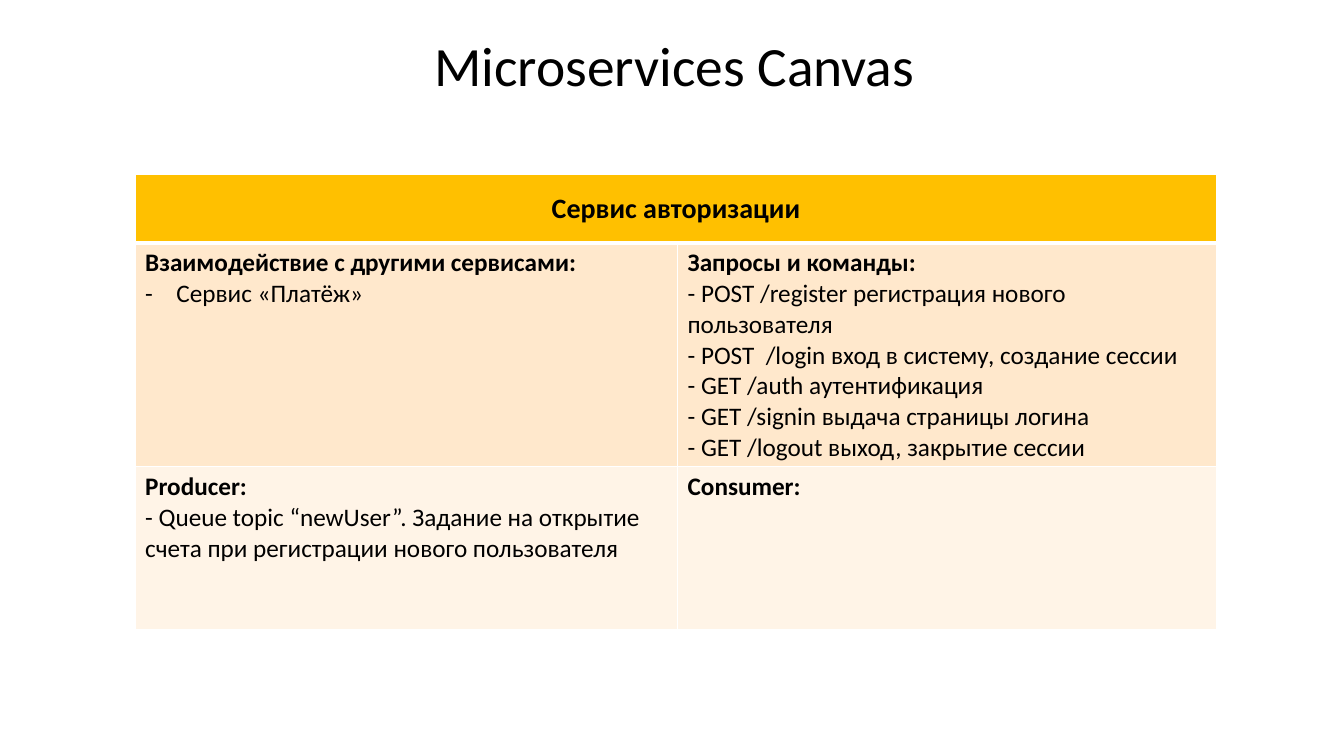
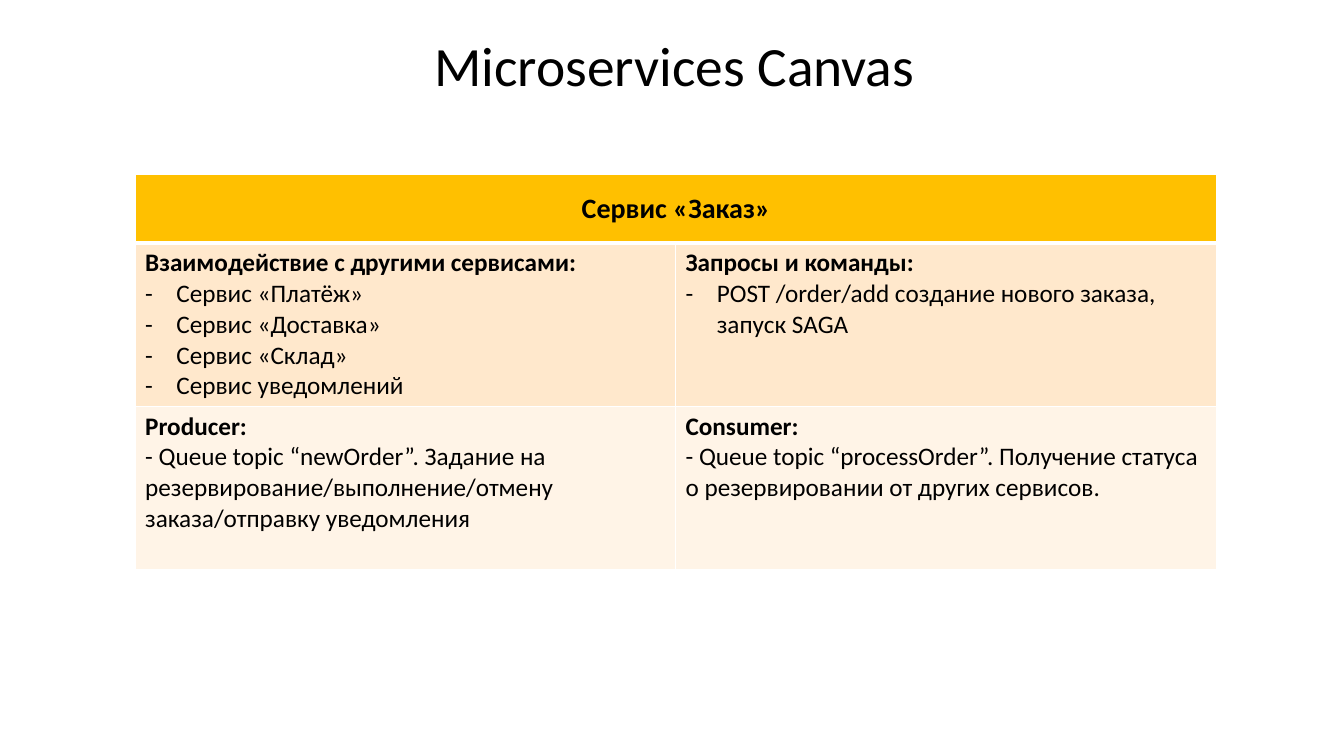
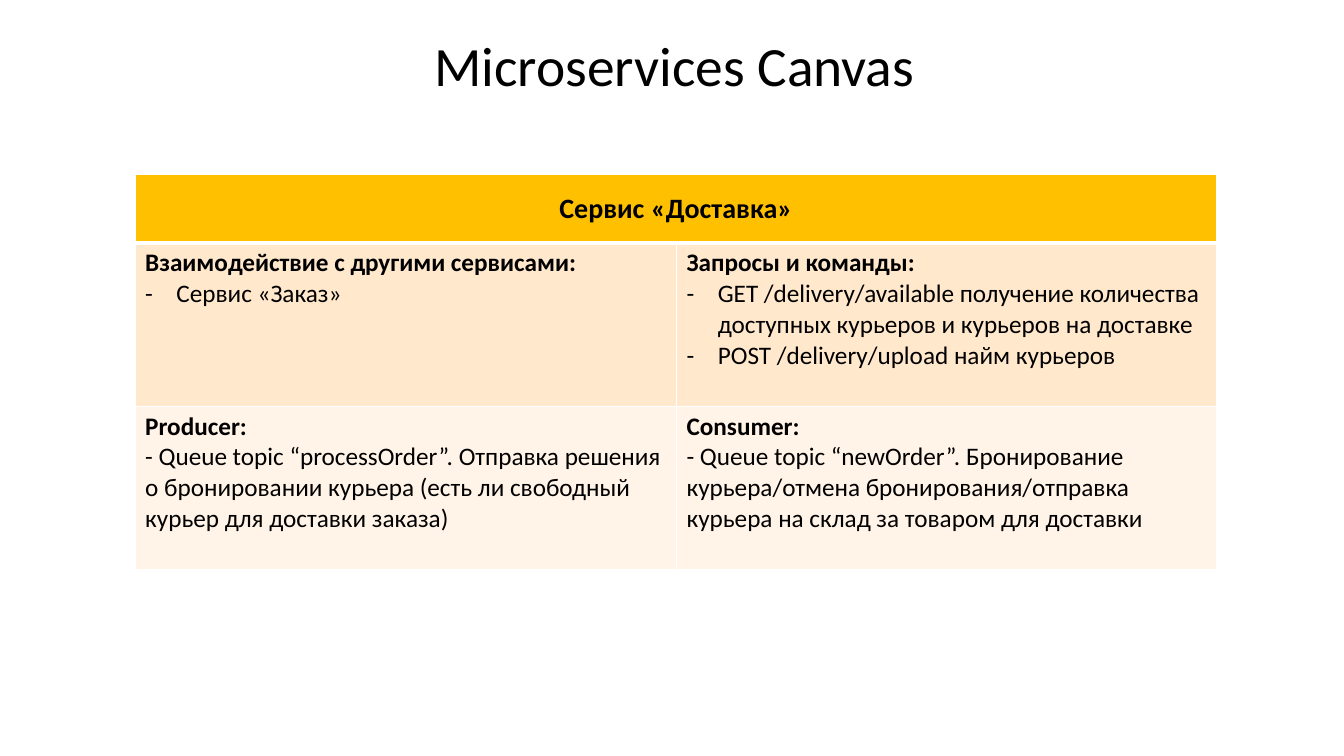
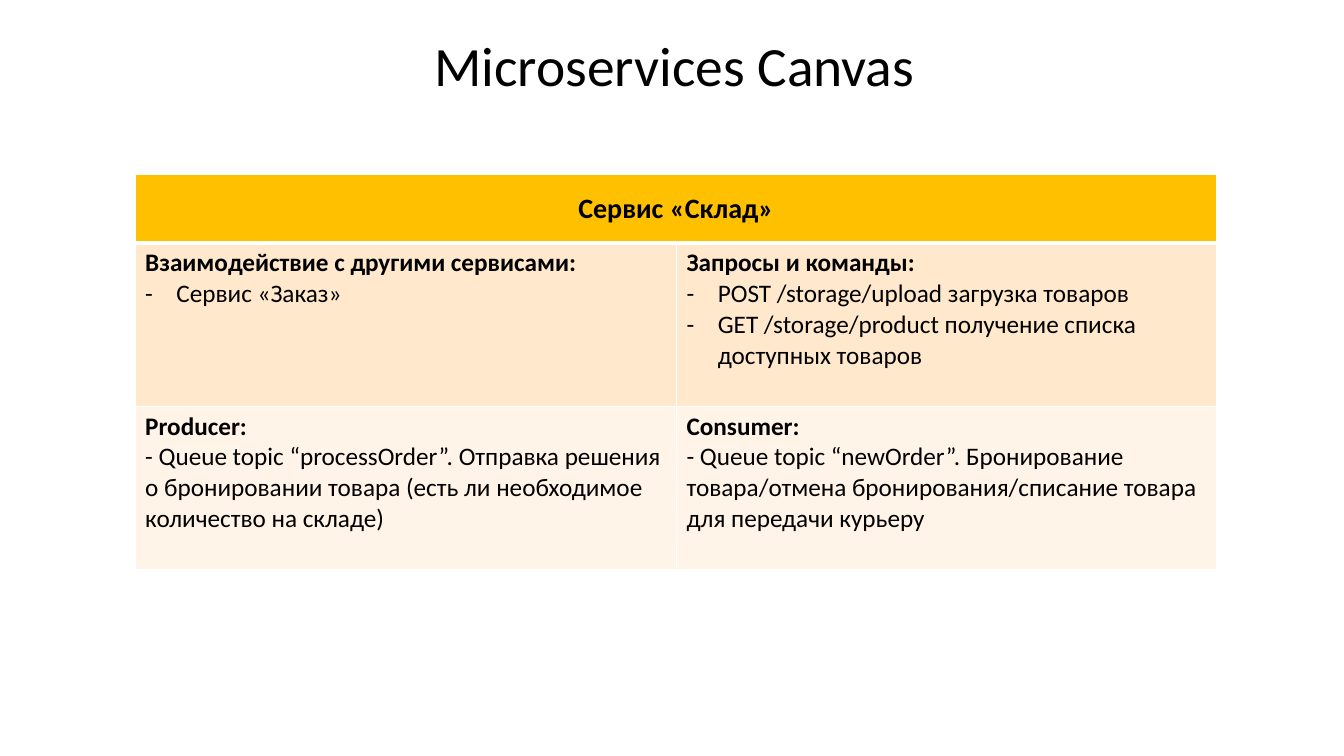
"""Builds four microservice canvas slides, one table per service."""
from lxml import etree
from pptx import Presentation
from pptx import util as u
from pptx.dml.color import RGBColor
from pptx.enum import text
from pptx.oxml import ns

BLACK = RGBColor(0x00, 0x00, 0x00)
GOLD = RGBColor(0xFF, 0xC0, 0x00)
PEACH = RGBColor(0xFF, 0xE8, 0xCC)
CREAM = RGBColor(0xFF, 0xF4, 0xE7)
FONT = "Calibri"

TITLE = {"size": u.Pt(39.6), "bold": False}
NAME = {"size": u.Pt(20), "bold": True}
HEAD = {"size": u.Pt(18), "bold": True}
BODY = {"size": u.Pt(18), "bold": False}

HEADS = [
    ["Взаимодействие с другими сервисами:", "Запросы и команды:"],
    ["Producer:", "Consumer:"],
]
WIDTH = 10.73

CARDS = [
    {
        "name": "Сервис авторизации", "left": 5.38, "tall": 2.22,
        "cells": [
            [["Сервис «Платёж»"],
             ["- POST /register регистрация нового пользователя",
              "- POST  /login вход в систему, создание сессии",
              "- GET /auth аутентификация",
              "- GET /signin выдача страницы логина",
              "- GET /logout выход, закрытие сессии"]],
            [["- Queue topic “newUser”. Задание на открытие счета при "
              "регистрации нового пользователя"],
             []],
        ],
    },
    {
        "name": "Сервис «Заказ»", "left": 5.36, "tall": 1.62,
        "cells": [
            [["Сервис «Платёж»", "Сервис «Доставка»", "Сервис «Склад»",
              "Сервис уведомлений"],
             ["POST /order/add создание нового заказа, запуск SAGA"]],
            [["- Queue topic “newOrder”. Задание на "
              "резервирование/выполнение/отмену заказа/отправку уведомления"],
             ["- Queue topic “processOrder”. Получение статуса о "
              "резервировании от других сервисов."]],
        ],
    },
    {
        "name": "Сервис «Доставка»", "left": 5.37, "tall": 1.62,
        "cells": [
            [["Сервис «Заказ»"],
             ["GET /delivery/available получение количества доступных "
              "курьеров и курьеров на доставке",
              "POST /delivery/upload найм курьеров"]],
            [["- Queue topic “processOrder”. Отправка решения о бронировании "
              "курьера (есть ли свободный курьер для доставки заказа)"],
             ["- Queue topic “newOrder”. Бронирование курьера/отмена "
              "бронирования/отправка курьера на склад за товаром для "
              "доставки"]],
        ],
    },
    {
        "name": "Сервис «Склад»", "left": 5.37, "tall": 1.62,
        "cells": [
            [["Сервис «Заказ»"],
             ["POST /storage/upload загрузка товаров",
              "GET /storage/product получение списка доступных товаров"]],
            [["- Queue topic “processOrder”. Отправка решения о бронировании "
              "товара (есть ли необходимое количество на складе)"],
             ["- Queue topic “newOrder”. Бронирование товара/отмена "
              "бронирования/списание товара для передачи курьеру"]],
        ],
    },
]


def write(para, words, style, align=text.PP_ALIGN.LEFT):
    para.alignment = align
    run = para.add_run()
    run.text = words
    run.font.color.rgb = BLACK
    for key, value in {"name": FONT, **style}.items():
        setattr(run.font, key, value)


def paint(cell, color, base=1):
    props = cell._tc.get_or_add_tcPr()
    for side, width in {"L": 1, "R": 1, "T": 1, "B": base}.items():
        line = etree.SubElement(props, ns.qn("a:ln" + side), w=str(u.Pt(width)))
        fill = etree.SubElement(line, ns.qn("a:solidFill"))
        etree.SubElement(fill, ns.qn("a:srgbClr"), val="FFFFFF")
    cell.fill.solid()
    cell.fill.fore_color.rgb = color


deck = Presentation()
deck.slide_width = u.Inches(13.33)
deck.slide_height = u.Inches(7.5)

for card in CARDS:
    slide = deck.slides.add_slide(deck.slide_layouts[6])
    box = slide.shapes.add_textbox(
        u.Inches(0.94), u.Inches(0.32), u.Inches(11.5), u.Inches(0.71))
    frame = box.text_frame
    frame.word_wrap = True
    frame.vertical_anchor = text.MSO_ANCHOR.MIDDLE
    title = frame.paragraphs[0]
    title.line_spacing = 0.9
    write(title, "Microservices Canvas", TITLE, text.PP_ALIGN.CENTER)

    rows = [0.68, card["tall"], 1.62]
    table = slide.shapes.add_table(
        3, 2, u.Inches(1.34), u.Inches(1.73),
        u.Inches(WIDTH), u.Inches(sum(rows))).table
    for col, width in zip(table.columns, [card["left"], WIDTH - card["left"]]):
        col.width = u.Inches(width)
    for row, height in zip(table.rows, rows):
        row.height = u.Inches(height)

    top = table.cell(0, 0)
    top.merge(table.cell(0, 1))
    for col in range(2):
        paint(table.cell(0, col), GOLD, 3)
    top.vertical_anchor = text.MSO_ANCHOR.MIDDLE
    write(top.text_frame.paragraphs[0], card["name"], NAME, text.PP_ALIGN.CENTER)

    for row, color in enumerate([PEACH, CREAM]):
        for col in range(2):
            cell = table.cell(row + 1, col)
            paint(cell, color)
            frame = cell.text_frame
            write(frame.paragraphs[0], HEADS[row][col], HEAD)
            for words in card["cells"][row][col]:
                para = frame.add_paragraph()
                write(para, words, BODY)
                if not words.startswith("- "):
                    props = para._p.get_or_add_pPr()
                    props.set("marL", str(u.Inches(0.31)))
                    props.set("indent", str(-u.Inches(0.31)))
                    etree.SubElement(props, ns.qn("a:buFont"), typeface=FONT)
                    etree.SubElement(props, ns.qn("a:buChar"), char="-")

deck.save("out.pptx")
